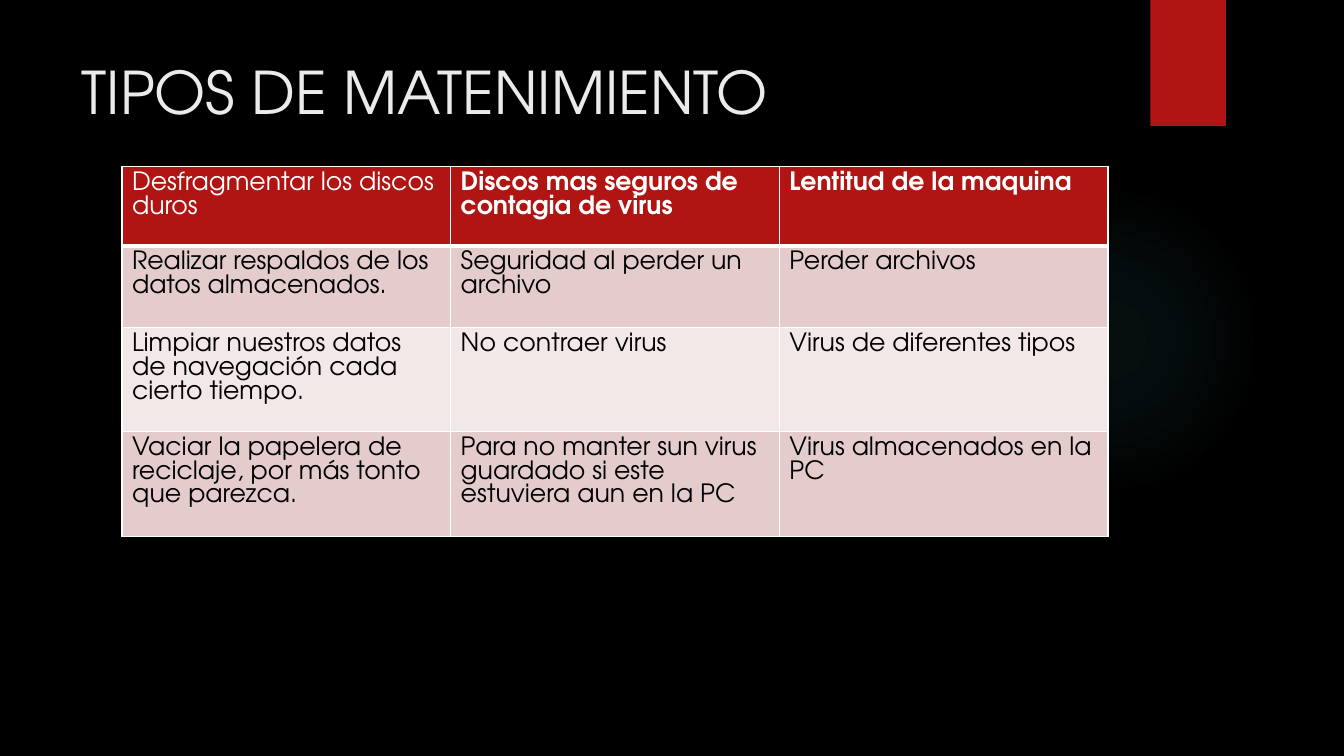
from lxml import etree
from pptx import Presentation
from pptx.dml.color import RGBColor
from pptx.enum.shapes import MSO_SHAPE
from pptx.enum.text import MSO_ANCHOR, PP_ALIGN
from pptx.oxml import parse_xml
from pptx.oxml.ns import qn
from pptx.util import Inches, Pt

TITLE = "TIPOS DE MATENIMIENTO"
ROWS = [
    ("Desfragmentar los discos duros", "Discos mas seguros de contagia de virus",
     "Lentitud de la maquina"),
    ("Realizar respaldos de los datos almacenados.", "Seguridad al perder un archivo",
     "Perder archivos"),
    ("Limpiar nuestros datos de navegación cada cierto tiempo.", "No contraer virus",
     "Virus de diferentes tipos"),
    ("Vaciar la papelera de reciclaje, por más tonto que parezca.",
     "Para no manter sun virus guardado si este estuviera aun en la PC",
     "Virus almacenados en la PC"),
]
ROW_HEIGHTS = [0.79, 0.81, 1.03, 1.04]
COLUMN_WIDTH = 3.26
GLOW_STOPS = [(0, 7), (36, 6), (69, 0)]
FONT = "TeX Gyre Adventor"
COLORS = {"background": "000000", "title": "EBEBEB", "accent": "B01513", "glow": "50B9C1",
          "white": "FFFFFF", "text": "000000", "odd": "E4CCCC", "even": "F2E8E7"}


def color(name):
    return RGBColor.from_string(COLORS[name])


def style(run, size, name, bold=False):
    run.font.name = FONT
    run.font.size = Pt(size)
    run.font.bold = bold
    run.font.color.rgb = color(name)


def add_decoration(shapes, kind, *box):
    shape = shapes.add_shape(kind, *map(Inches, box))
    shape.shadow.inherit = False
    shape.line.fill.background()
    shape.fill.solid()
    shape.fill.fore_color.rgb = color("accent")
    return shape


def make_glow(shape):
    stops = "".join(
        f'<a:gs pos="{pos * 1000}"><a:srgbClr val="{COLORS["glow"]}">'
        f'<a:alpha val="{alpha * 1000}"/></a:srgbClr></a:gs>' for pos, alpha in GLOW_STOPS)
    gradient = parse_xml(
        '<a:gradFill xmlns:a="http://schemas.openxmlformats.org/drawingml/2006/main">'
        f'<a:gsLst>{stops}</a:gsLst><a:path path="circle">'
        '<a:fillToRect l="50000" t="50000" r="50000" b="50000"/></a:path></a:gradFill>')
    properties = shape.fill._xPr
    properties.replace(properties.find(qn("a:solidFill")), gradient)


def add_borders(cell, row):
    properties = cell._tc.get_or_add_tcPr()
    widths = {"lnL": 1, "lnR": 1, "lnT": 3 if row == 1 else 1, "lnB": 3 if row == 0 else 1}
    for side, width in widths.items():
        line = etree.SubElement(properties, qn(f"a:{side}"), w=str(Pt(width)))
        fill = etree.SubElement(line, qn("a:solidFill"))
        etree.SubElement(fill, qn("a:srgbClr"), val=COLORS["white"])


prs = Presentation()
prs.slide_width, prs.slide_height = Inches(13.33), Inches(7.5)
slide = prs.slides.add_slide(prs.slide_layouts[5])
slide.background.fill.solid()
slide.background.fill.fore_color.rgb = color("background")

make_glow(add_decoration(slide.shapes, MSO_SHAPE.OVAL, 9.41, 1.83, 3.08, 3.08))
add_decoration(slide.shapes, MSO_SHAPE.RECTANGLE, 11.41, 0, 0.75, 1.25)

title = slide.shapes.title
title.left, title.top, title.width, title.height = map(Inches, (0.71, 0.5, 10.29, 1.53))
title.text_frame.vertical_anchor = MSO_ANCHOR.TOP
title_line = title.text_frame.paragraphs[0]
title_line.alignment = PP_ALIGN.LEFT
title_run = title_line.add_run()
title_run.text = TITLE
style(title_run, 42, "title")

columns = len(ROWS[0])
table = slide.shapes.add_table(
    len(ROWS), columns, Inches(1.21), Inches(1.65),
    Inches(COLUMN_WIDTH * columns), Inches(sum(ROW_HEIGHTS))).table
for column in table.columns:
    column.width = Inches(COLUMN_WIDTH)
for r, (texts, height) in enumerate(zip(ROWS, ROW_HEIGHTS)):
    table.rows[r].height = Inches(height)
    fill_name = "accent" if r == 0 else "odd" if r % 2 else "even"
    for c, text in enumerate(texts):
        cell = table.cell(r, c)
        add_borders(cell, r)
        cell.fill.solid()
        cell.fill.fore_color.rgb = color(fill_name)
        paragraph = cell.text_frame.paragraphs[0]
        paragraph.line_spacing = Pt(17)
        run = paragraph.add_run()
        run.text = text
        style(run, 18, "text" if r else "white", bold=r == 0 and c > 0)

prs.save("out.pptx")
